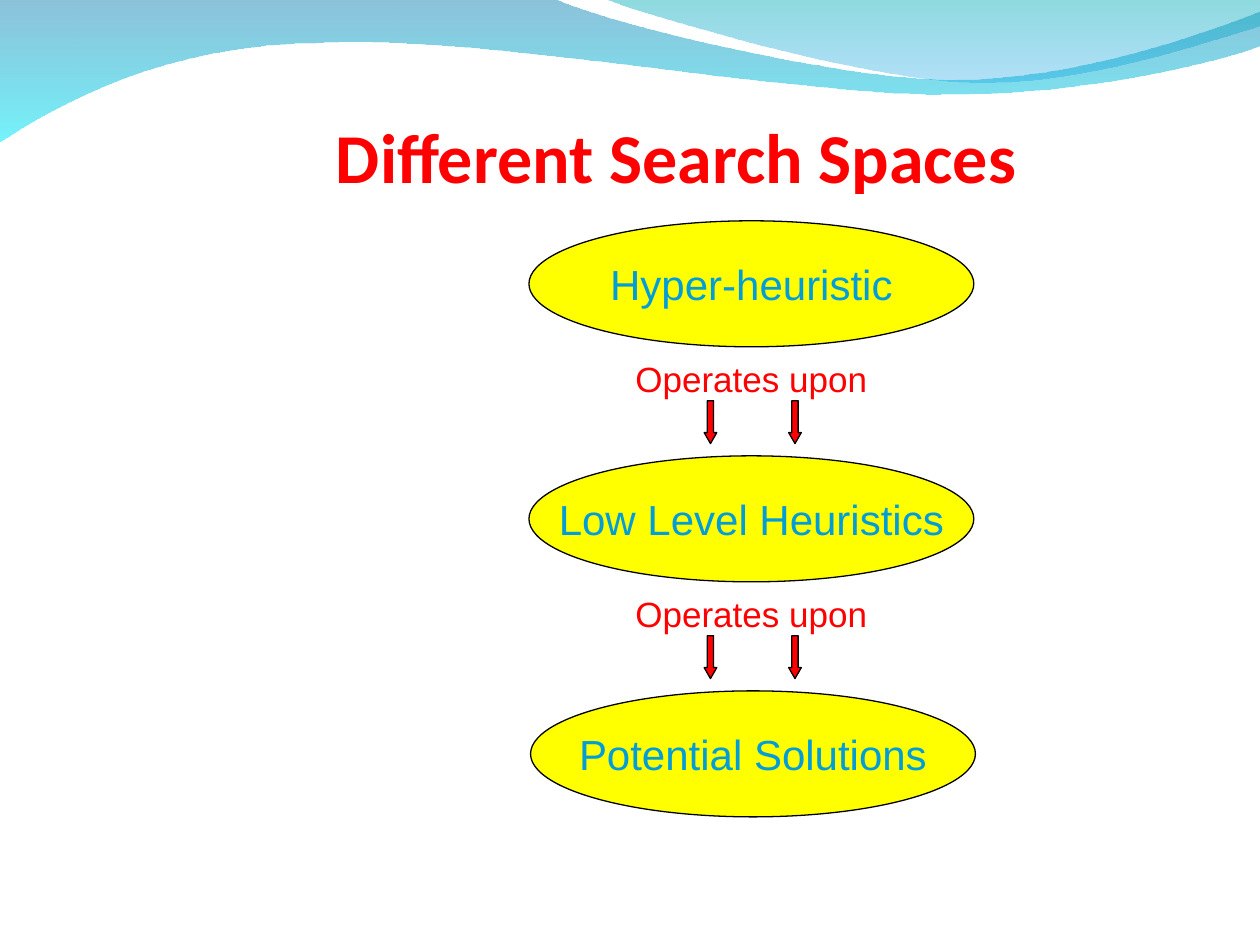
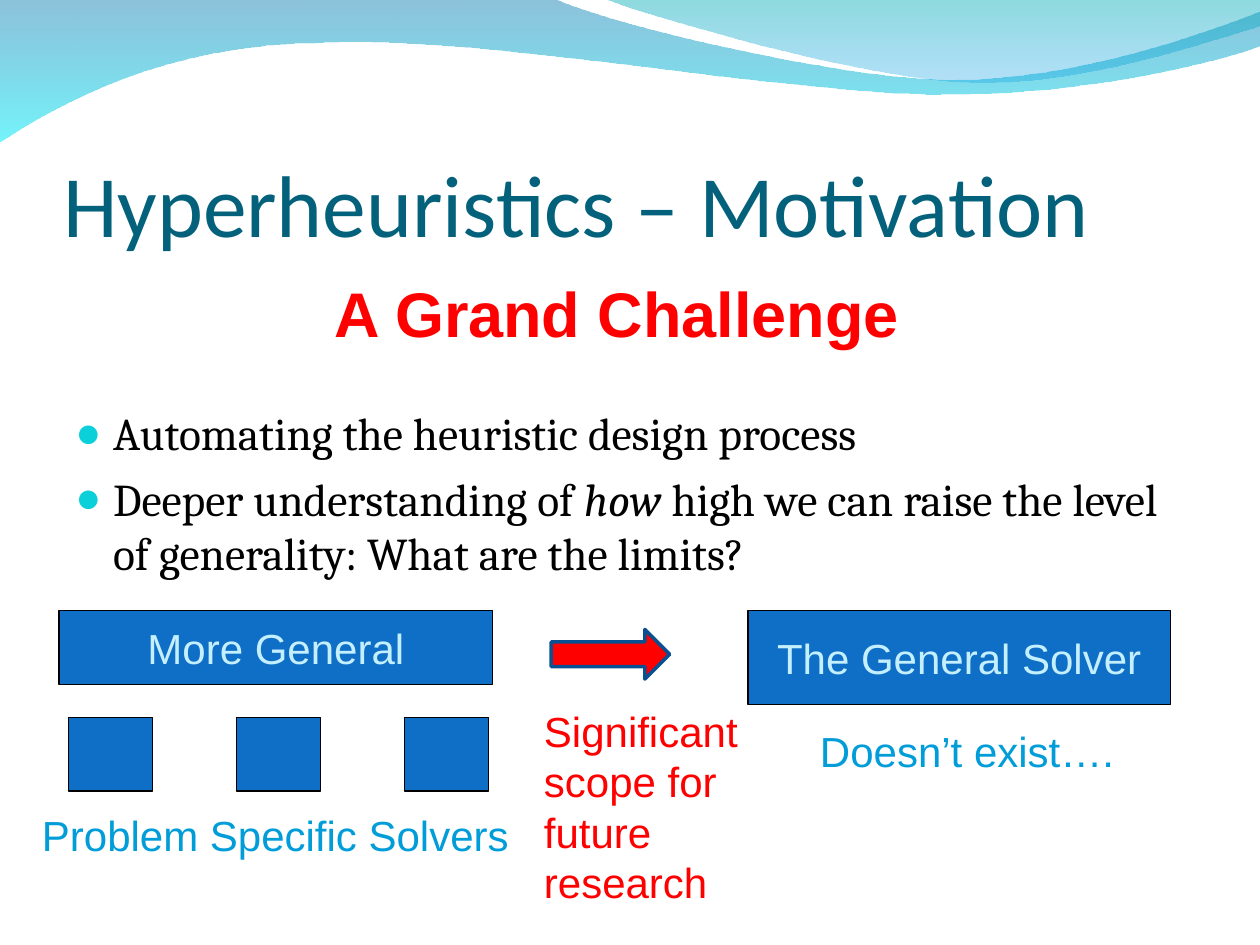
from lxml import etree
from pptx import Presentation
from pptx.dml.color import RGBColor
from pptx.enum.shapes import MSO_SHAPE as SHAPE
from pptx.enum.text import MSO_ANCHOR as ANCHOR, MSO_AUTO_SIZE as AUTO, PP_ALIGN as ALIGN
from pptx.oxml.ns import qn
from pptx.util import Pt

COLORS = {
    "red": "FF0000", "yellow": "FFFF00", "black": "000000",
    "sky": "009DD9", "blue": "0F6FC6", "navy": "085091",
    "pale": "C4EFFF", "teal": "04617B", "bullet": "0BD0D9",
    "wave_top": "0079AF", "wave_bottom": "00EBF8",
    "crest_top": "00ADB6", "crest_bottom": "009BE5",
}

# Outlines in points: each part is one point (line) or three (cubic curve).
WAVE = [
    [(0, -0.7)],
    [(316.8, -0.7)],
    [(342.7, 12.2), (478.1, 45.4), (545.8, 45.4)],
    [(614.2, 45.4), (689.8, 18.7), (720, 6.5)],
    [(720.7, 25.9)],
    [(707.8, 31.7), (626.4, 54.7), (537.1, 54)],
    [(447.8, 54), (275, 20.2), (185, 24.5)],
    [(92.9, 25.2), (33.1, 59.8), (-0.7, 81.4)],
]
CREST = [
    [(344.9, -0.7)],
    [(366.5, 7.9), (491, 44.6), (553.7, 46.8)],
    [(616.3, 49.7), (691.9, 23), (720, 15.1)],
    [(720, 0)],
]


def rgb(name):
    return RGBColor.from_string(COLORS[name])


def add_wave(slide, outline, *stops):
    """Draw an outline with a downward gradient of (colour, opacity percent) stops."""
    start, *ends = [(Pt(x), Pt(y)) for x, y in (part[-1] for part in outline)]
    builder = slide.shapes.build_freeform(*start)
    builder.add_line_segments(ends, close=True)
    s = builder.convert_to_shape()
    for line, part in zip(list(s._element.iter(qn("a:lnTo"))), outline[1:]):
        if len(part) == 3:
            curve = etree.Element(qn("a:cubicBezTo"))
            for x, y in part:
                etree.SubElement(curve, qn("a:pt"),
                                 x=str(Pt(x) - s.left), y=str(Pt(y) - s.top))
            line.getparent().replace(line, curve)
    s.shadow.inherit = False
    s.line.fill.background()
    s.fill.gradient()
    s.fill.gradient_angle = 270
    for stop, (color, _) in zip(s.fill.gradient_stops, stops):
        stop.color.rgb = rgb(color)
    clrs = s._element.spPr.find(qn("a:gradFill")).iter(qn("a:srgbClr"))
    for clr, (_, opacity) in zip(clrs, stops):
        etree.SubElement(clr, qn("a:alpha"), val=str(opacity * 1000))
    return s


def add_master_waves(prs, slide):
    """Draw the waves on a slide, then move them to the master that all slides share."""
    waves = [
        add_wave(slide, WAVE, ("wave_top", 45), ("wave_bottom", 55)),
        add_wave(slide, CREST, ("crest_top", 45), ("crest_bottom", 30)),
    ]
    for i, s in enumerate(waves):
        s._element.nvSpPr.cNvPr.set("id", str(101 + i))
        prs.slide_master.shapes._spTree.insert(2 + i, s._element)


def add_run(p, text, size, color, font="Arial", bold=False, italic=False):
    r = p.add_run()
    r.text = text
    r.font.name, r.font.size = font, Pt(size)
    r.font.bold, r.font.italic = bold, italic
    r.font.color.rgb = rgb(color)


def add_titled_slide(prs, text, box, size, color, bold=False, spacing=1.0):
    slide = prs.slides.add_slide(prs.slide_layouts[5])
    title = slide.shapes.title
    title.left, title.top, title.width, title.height = map(Pt, box)
    tf = title.text_frame
    tf.auto_size = AUTO.NONE
    tf.vertical_anchor = ANCHOR.BOTTOM
    tf.margin_left = tf.margin_right = tf.margin_bottom = 0
    tf.margin_top = Pt(3.6)
    p = tf.paragraphs[0]
    p.alignment = ALIGN.LEFT
    p.line_spacing = spacing
    add_run(p, text, size, color, "Calibri", bold)
    return slide


def add_box(slide, kind, box, fill, text="", text_color="pale", line="black", weight=0.75):
    s = slide.shapes.add_shape(kind, *map(Pt, box))
    s.shadow.inherit = False
    s.fill.solid()
    s.fill.fore_color.rgb = rgb(fill)
    s.line.color.rgb = rgb(line)
    s.line.width = Pt(weight)
    if text:
        tf = s.text_frame
        tf.word_wrap = False
        tf.vertical_anchor = ANCHOR.MIDDLE
        tf.paragraphs[0].alignment = ALIGN.CENTER
        add_run(tf.paragraphs[0], text, 24, text_color)
    return s


def add_text_frame(slide, box, wrap=True):
    tf = slide.shapes.add_textbox(*map(Pt, box)).text_frame
    tf.word_wrap = wrap
    return tf


def add_label(slide, box, text, color, size=24, before=15, wrap=True):
    p = add_text_frame(slide, box, wrap).paragraphs[0]
    p.space_before = Pt(before)
    add_run(p, text, size, color)


def set_hanging(p, indent):
    pPr = p._p.get_or_add_pPr()
    pPr.set("marL", str(Pt(indent)))
    pPr.set("indent", str(-Pt(indent)))
    return pPr


def add_bullet(p, *runs):
    """Fill a bulleted paragraph with (text, italic) runs."""
    p.space_before = Pt(6.5)
    pPr = set_hanging(p, 21.6)
    bu_clr = etree.SubElement(pPr, qn("a:buClr"))
    etree.SubElement(bu_clr, qn("a:srgbClr"), val=COLORS["bullet"])
    etree.SubElement(pPr, qn("a:buSzPct"), val="95000")
    etree.SubElement(pPr, qn("a:buFont"), typeface="Arial")
    etree.SubElement(pPr, qn("a:buChar"), char="●")
    for text, italic in runs:
        add_run(p, text, 26, "black", "Cambria", italic=italic)


def build_search_spaces(prs):
    slide = add_titled_slide(prs, "Different Search Spaces", (192, 18, 504, 95.8),
                             40, "red", bold=True, spacing=0.93)
    add_master_waves(prs, slide)
    spaces = [("Hyper-heuristic", 302.3), ("Low Level Heuristics", 302.3),
              ("Potential Solutions", 303.2)]
    for i, (space, left) in enumerate(spaces):
        top = 126.2 + i * 134.3
        add_box(slide, SHAPE.OVAL, (left, top, 254.2, 72), "yellow", space, "sky")
        if i == len(spaces) - 1:
            break
        add_label(slide, (356, top + 74.3, 146.9, 31.7), "Operates upon", "red",
                  size=20, before=0, wrap=False)
        for arrow_left in (450.7, 402.4):
            arrow = add_box(slide, SHAPE.DOWN_ARROW, (arrow_left, top + 102.8, 7.2, 24.5), "red")
            arrow.adjustments[1] = 0.87


def build_motivation(prs):
    slide = add_titled_slide(prs, "Hyperheuristics – Motivation", (36, 55.9, 648, 90),
                             50, "teal")
    tf = add_text_frame(slide, (36, 227.8, 648, 120))
    add_bullet(tf.paragraphs[0], ("Automating the heuristic design process", False))
    add_bullet(tf.add_paragraph(), ("Deeper understanding of ", False), ("how", True),
               (" high we can raise the level of generality: What are the limits?", False))

    challenge = add_text_frame(slide, (118.5, 153.4, 468, 66.2)).paragraphs[0]
    challenge.alignment = ALIGN.CENTER
    challenge.space_before, challenge.space_after = Pt(8), Pt(22.5)
    set_hanging(challenge, 26.6)
    add_run(challenge, "A Grand Challenge", 36, "red", bold=True)

    for i in range(3):
        add_box(slide, SHAPE.RECTANGLE, (39.1 + i * 96, 410.2, 48.2, 41.8), "blue")
    add_label(slide, (16.9, 459, 292.3, 36), "Problem Specific Solvers", "sky")
    add_box(slide, SHAPE.RECTANGLE, (33.8, 348.8, 247.7, 42.5), "blue", "More General")
    add_box(slide, SHAPE.RIGHT_ARROW, (315, 359.7, 67.7, 28.4), "red", line="navy", weight=2)
    add_box(slide, SHAPE.RECTANGLE, (427.5, 348.8, 241.2, 53.8), "blue", "The General Solver")
    add_label(slide, (461.5, 410.8, 216, 36), "Doesn’t exist….", "sky")
    add_label(slide, (303.8, 399.6, 146.2, 122.4), "Significant scope for future research", "red")


def main():
    prs = Presentation()
    prs.slide_width, prs.slide_height = Pt(720), Pt(540)
    build_search_spaces(prs)
    build_motivation(prs)
    prs.save("out.pptx")


if __name__ == "__main__":
    main()
